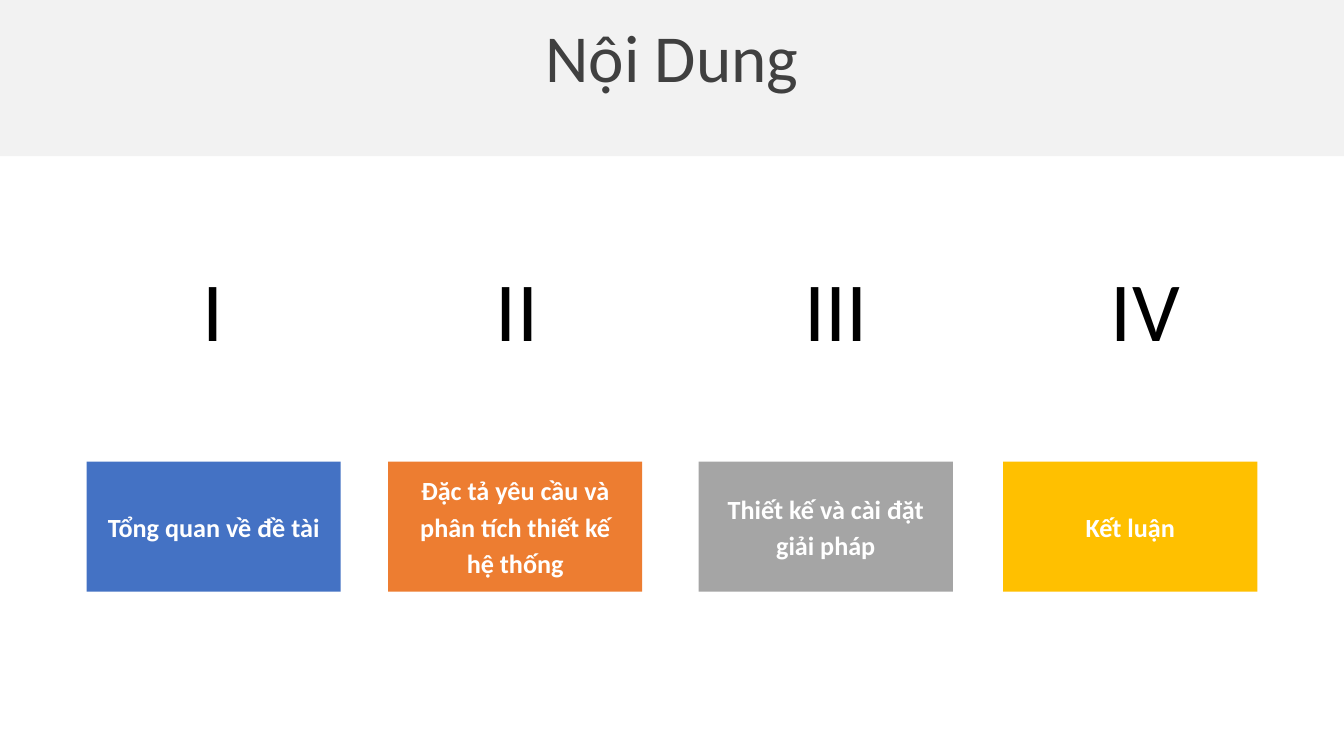
from dataclasses import dataclass

from pptx import Presentation
from pptx.dml.color import RGBColor
from pptx.enum.shapes import MSO_SHAPE
from pptx.enum.text import MSO_ANCHOR, MSO_AUTO_SIZE, PP_ALIGN
from pptx.util import Inches, Pt


@dataclass(frozen=True)
class Theme:
    font: str = "Calibri"
    band: str = "F2F2F2"
    heading: str = "404040"
    numeral: str = "000000"
    label: str = "FFFFFF"
    heading_size: float = 48
    numeral_size: float = 60
    label_size: float = 18.7


THEME = Theme()
SLIDE_WIDTH, SLIDE_HEIGHT = 13.33, 7.5
BOX_TOP, BOX_WIDTH, BOX_HEIGHT = 4.58, 2.52, 1.29
NUMERAL_TOP, NUMERAL_WIDTH, NUMERAL_HEIGHT = 2.51, 0.92, 1.11

# Numeral, numeral left, box left, box colour, label lines
SECTIONS = [
    ("I", 1.91, 0.86, "4472C4", ["Tổng quan về đề tài"]),
    ("II", 4.82, 3.85, "ED7D31",
     ["Đặc tả yêu cầu và", "phân tích thiết kế", "hệ thống"]),
    ("III", 7.88, 6.93, "A5A5A5", ["Thiết kế và cài đặt", "giải pháp"]),
    ("IV", 10.92, 9.95, "FFC000", ["Kết luận"]),
]


def write_text(frame, lines, *, size, color, bold=False, align=PP_ALIGN.CENTER,
               anchor=MSO_ANCHOR.MIDDLE, before=0, spacing=1.0):
    frame.word_wrap = True
    frame.auto_size = MSO_AUTO_SIZE.NONE
    frame.vertical_anchor = anchor
    for index, line in enumerate(lines):
        paragraph = frame.add_paragraph() if index else frame.paragraphs[0]
        paragraph.alignment = align
        paragraph.space_before = Pt(before)
        paragraph.line_spacing = spacing
        run = paragraph.add_run()
        run.text = line
        run.font.name = THEME.font
        run.font.size = Pt(size)
        run.font.bold = bold
        run.font.color.rgb = RGBColor.from_string(color)


def add_rectangle(slide, left, top, width, height, color):
    rectangle = slide.shapes.add_shape(
        MSO_SHAPE.RECTANGLE, Inches(left), Inches(top), Inches(width), Inches(height))
    rectangle.shadow.inherit = False
    rectangle.fill.solid()
    rectangle.fill.fore_color.rgb = RGBColor.from_string(color)
    rectangle.line.fill.background()
    return rectangle


def add_heading(slide, text):
    heading = slide.shapes.title
    heading.left, heading.top = Inches(0), Inches(0.18)
    heading.width, heading.height = Inches(SLIDE_WIDTH), Inches(0.84)
    write_text(heading.text_frame, [text], size=THEME.heading_size,
               color=THEME.heading, before=10, spacing=0.9)
    # The band lies behind the heading
    band = add_rectangle(slide, 0, 0, SLIDE_WIDTH, 1.55, THEME.band)
    heading.element.addprevious(band.element)


def add_section_box(slide, left, color, lines):
    box = add_rectangle(slide, left, BOX_TOP, BOX_WIDTH, BOX_HEIGHT, color)
    write_text(box.text_frame, lines, size=THEME.label_size, color=THEME.label,
               bold=True, before=3.5)


def add_numeral(slide, left, text):
    numeral = slide.shapes.add_textbox(
        Inches(left), Inches(NUMERAL_TOP), Inches(NUMERAL_WIDTH), Inches(NUMERAL_HEIGHT))
    write_text(numeral.text_frame, [text], size=THEME.numeral_size,
               color=THEME.numeral, align=PP_ALIGN.LEFT, anchor=MSO_ANCHOR.TOP)


def main():
    deck = Presentation()
    deck.slide_width, deck.slide_height = Inches(SLIDE_WIDTH), Inches(SLIDE_HEIGHT)
    slide = deck.slides.add_slide(deck.slide_layouts.get_by_name("Title Only"))

    add_heading(slide, "Nội Dung")
    # One numeral and one coloured box per section
    for numeral, numeral_left, box_left, color, lines in SECTIONS:
        add_section_box(slide, box_left, color, lines)
        add_numeral(slide, numeral_left, numeral)

    deck.save("out.pptx")


if __name__ == "__main__":
    main()
